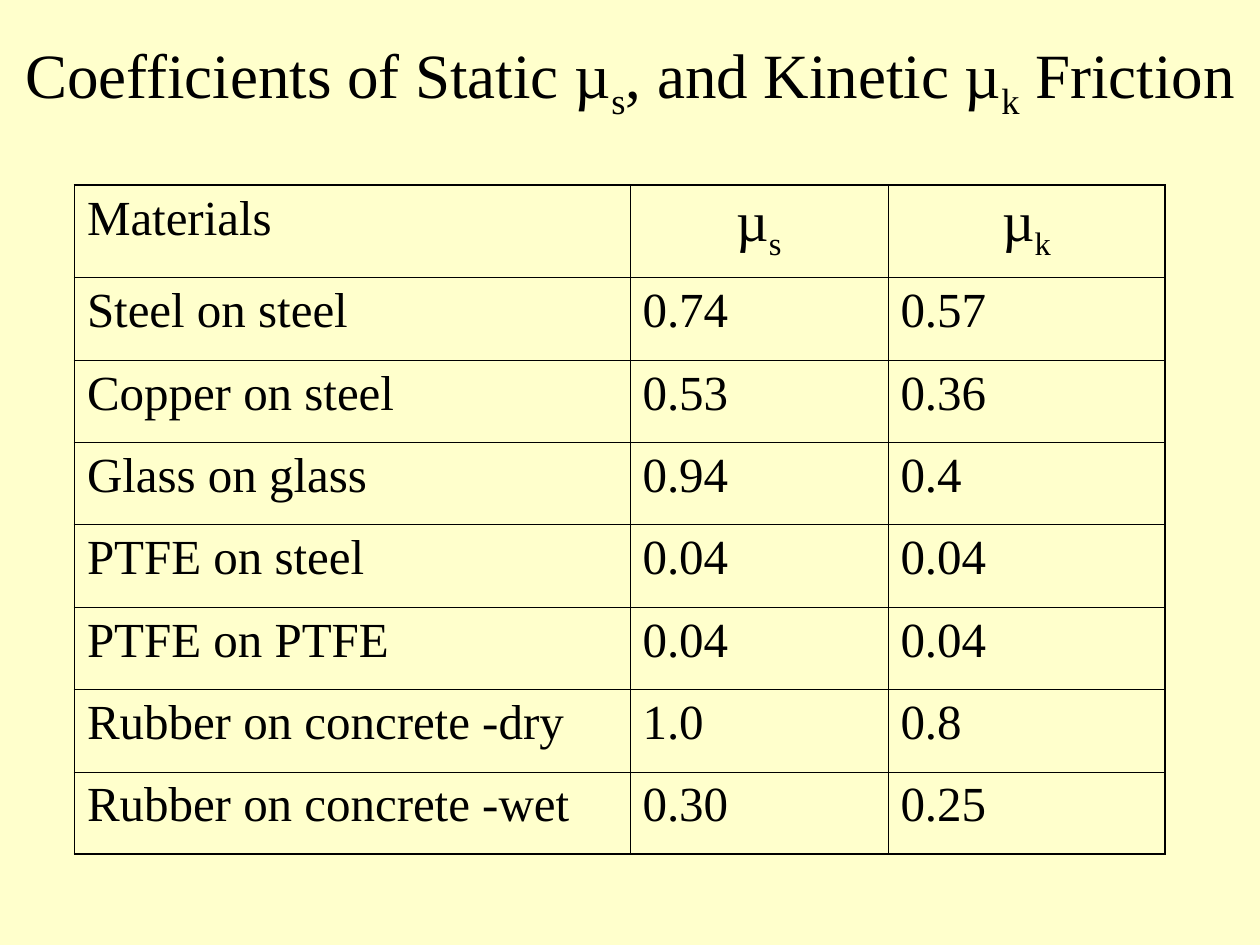
"""Builds a slide with a table of static and kinetic friction coefficients."""
from lxml import etree
from pptx import Presentation
from pptx.dml.color import RGBColor
from pptx.enum.text import MSO_ANCHOR, PP_ALIGN
from pptx.oxml.ns import qn
from pptx.util import Cm, Pt

LEFT, CENTER = PP_ALIGN.LEFT, PP_ALIGN.CENTER
MIDDLE = MSO_ANCHOR.MIDDLE

FONT = "Times New Roman"
COLORS = {"paper": "FFFFCC", "ink": "000000"}
THIN, THICK = 0.45, 1.08

TITLE = [("Coefficients of Static µ", 0), ("s", -25), (", and Kinetic µ", 0),
         ("k", -25), (" Friction", 0)]
HEAD = ["Materials", [("µ", 0), ("s", -25)], [("µ", 0), ("k", -25)]]
ROWS = [
    ("Steel on steel", "0.74", "0.57"),
    ("Copper on steel", "0.53", "0.36"),
    ("Glass on glass", "0.94", "0.4"),
    ("PTFE on steel", "0.04", "0.04"),
    ("PTFE on PTFE", "0.04", "0.04"),
    ("Rubber on concrete -dry", "1.0", "0.8"),
    ("Rubber on concrete -wet", "0.30", "0.25"),
]
WIDTHS = [11.2, 5.2, 5.59]
HEAD_H, ROW_H = 1.87, 1.66


def write(para, parts, size, align):
    """Fill a paragraph with (text, baseline) parts."""
    para.alignment = align
    for text, base in parts:
        run = para.add_run()
        run.text = text
        run.font.name = FONT
        run.font.size = Pt(size)
        run.font.color.rgb = RGBColor.from_string(COLORS["ink"])
        if base:
            run._r.get_or_add_rPr().set("baseline", str(base * 1000))


def border(cell, edges):
    """Draw the cell sides, thick where the side is a table edge."""
    props = cell._tc.get_or_add_tcPr()
    for side, edge in zip("LRTB", edges):
        width = Pt(THICK if edge else THIN)
        line = etree.SubElement(props, qn(f"a:ln{side}"), w=str(width))
        fill = etree.SubElement(line, qn("a:solidFill"))
        etree.SubElement(fill, qn("a:srgbClr"), val=COLORS["ink"])


def add_title(slide):
    """Place and format the title."""
    title = slide.shapes.title
    title.left, title.top = Cm(0), Cm(0)
    title.width, title.height = Cm(25.4), Cm(3.18)
    title.text_frame.vertical_anchor = MIDDLE
    write(title.text_frame.paragraphs[0], TITLE, 36, CENTER)


def add_grid(slide):
    """Add the table of coefficients."""
    data = [HEAD, *ROWS]
    heights = [HEAD_H] + [ROW_H] * len(ROWS)
    table = slide.shapes.add_table(
        len(data), len(WIDTHS), Cm(1.5), Cm(3.73),
        Cm(sum(WIDTHS)), Cm(sum(heights))).table
    table.first_row = table.horz_banding = False
    for col, width in zip(table.columns, WIDTHS):
        col.width = Cm(width)
    last_row, last_col = len(data) - 1, len(WIDTHS) - 1
    for i, values in enumerate(data):
        table.rows[i].height = Cm(heights[i])
        for j, value in enumerate(values):
            cell = table.cell(i, j)
            border(cell, (j == 0, j == last_col, i == 0, i == last_row))
            cell.fill.background()
            para = cell.text_frame.paragraphs[0]
            if isinstance(value, str):
                para.space_before = Pt(7)
                write(para, [(value, 0)], 28, LEFT)
            else:
                para.space_before = Pt(8)
                write(para, value, 32, CENTER)


def main():
    """Build and save the slide."""
    deck = Presentation()
    deck.slide_width, deck.slide_height = Cm(25.4), Cm(19.05)
    slide = deck.slides.add_slide(deck.slide_layouts[5])
    back = slide.background.fill
    back.solid()
    back.fore_color.rgb = RGBColor.from_string(COLORS["paper"])
    add_title(slide)
    add_grid(slide)
    deck.save("out.pptx")


if __name__ == "__main__":
    main()
